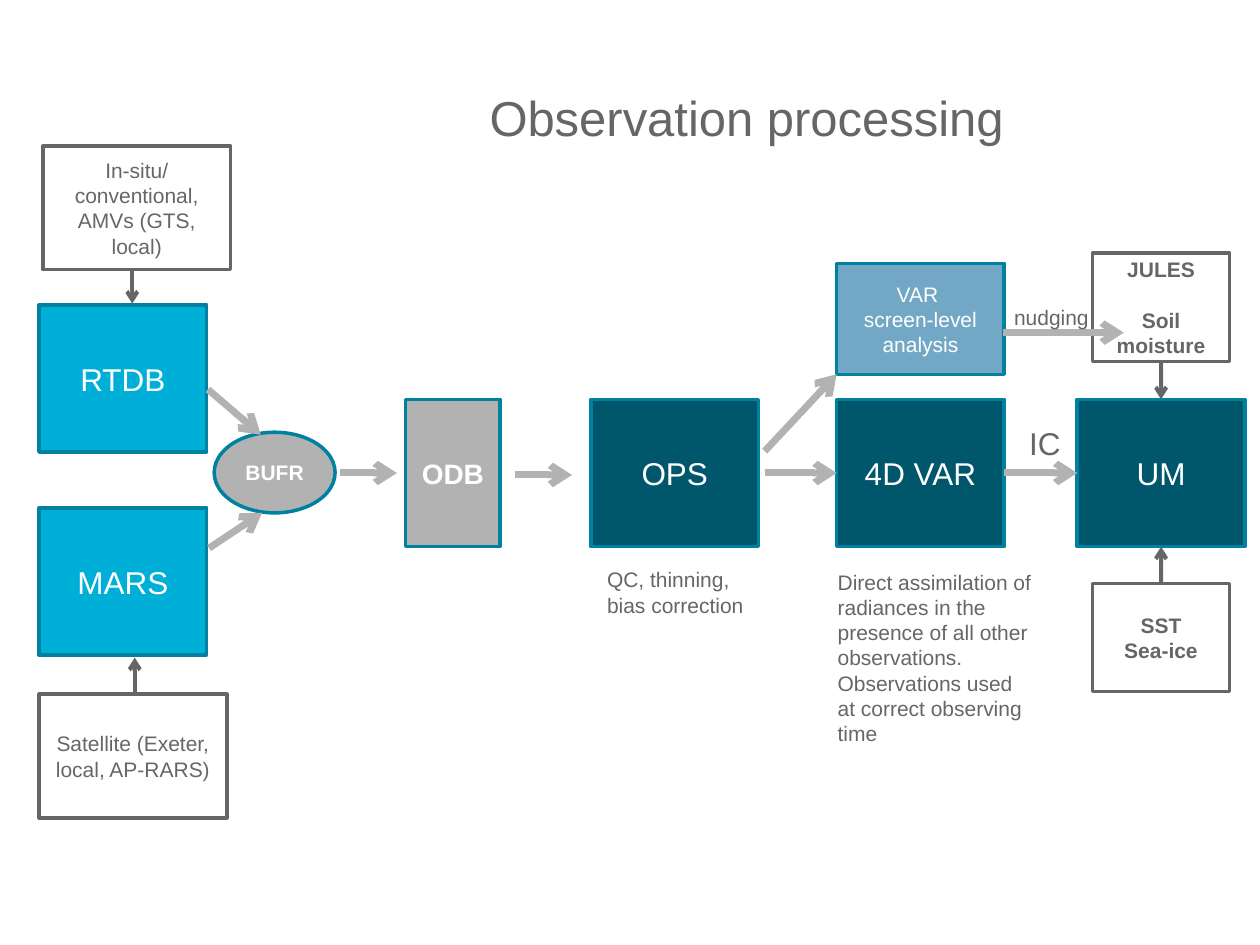
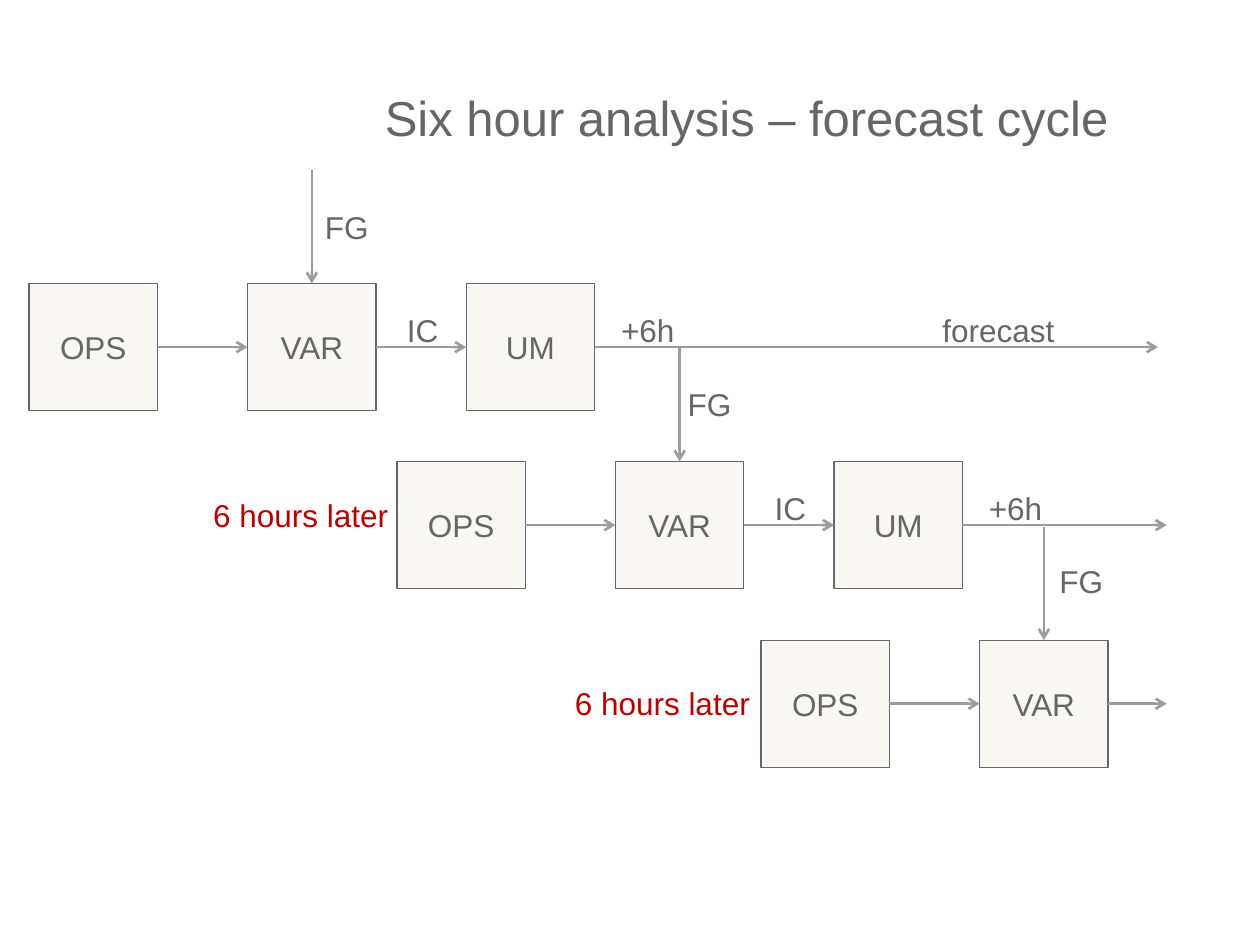
import dataclasses
import typing

import lxml.etree
import pptx
import pptx.dml.color
import pptx.enum.shapes
import pptx.enum.text
import pptx.oxml.ns
import pptx.util

FONT = "Arial"
GREY = "666666"
WHITE = "FFFFFF"
SILVER = "B2B2B2"
CYAN = "00AFD7"
TEAL = "00819F"
PETROL = "00576C"
STEEL = "72A8C5"
IVORY = "F8F7F3"
ARROW_GREY = "9C9C9C"
RED = "C00000"

TOP, LEFT, BOTTOM, RIGHT = range(4)
SHAPES = pptx.enum.shapes.MSO_SHAPE
ALIGN = pptx.enum.text.PP_ALIGN
ANCHOR = pptx.enum.text.MSO_ANCHOR
AUTO_SIZE = pptx.enum.text.MSO_AUTO_SIZE


@dataclasses.dataclass(frozen=True)
class TextStyle:
    size: float
    color: str = GREY
    bold: bool = False
    alignment: typing.Any = ALIGN.CENTER


@dataclasses.dataclass(frozen=True)
class BoxStyle:
    fill: str
    line: str
    line_width: float
    text: TextStyle


class Area(typing.NamedTuple):
    left: float
    top: float
    width: float
    height: float


class Box(typing.NamedTuple):
    paragraphs: tuple[str, ...]
    area: Area
    style: BoxStyle
    shape_type: typing.Any = SHAPES.RECTANGLE
    paragraph_gap: float = 0


class Label(typing.NamedTuple):
    paragraphs: tuple[str, ...]
    area: Area
    style: TextStyle
    wrap: bool = False


class Point(typing.NamedTuple):
    x: float
    y: float


class Joint(typing.NamedTuple):
    shape: typing.Any
    side: int


class ArrowStyle(typing.NamedTuple):
    color: str
    width: float


class CycleRow(typing.NamedTuple):
    left: float
    top: float
    steps: tuple[str, ...]
    forecast_end: float
    first_guess_label: Point


TITLE_TEXT = TextStyle(28)
SMALL_LABEL = TextStyle(12, alignment=ALIGN.LEFT)
LARGE_LABEL = TextStyle(18, alignment=ALIGN.LEFT)
LATER_LABEL = TextStyle(18, RED, alignment=ALIGN.RIGHT)

DATABASE = BoxStyle(CYAN, TEAL, 2, TextStyle(18, WHITE))
MODEL = BoxStyle(PETROL, TEAL, 2, TextStyle(18, WHITE))
SCREEN_LEVEL = BoxStyle(STEEL, TEAL, 2, TextStyle(12, WHITE))
FORMAT = BoxStyle(SILVER, TEAL, 2, TextStyle(12, WHITE, True))
STORE = BoxStyle(SILVER, TEAL, 2, TextStyle(16, WHITE, True))
FEED = BoxStyle(WHITE, GREY, 2, TextStyle(12))
SURFACE = BoxStyle(WHITE, GREY, 2, TextStyle(12, bold=True))
CYCLE_STEP = BoxStyle(IVORY, GREY, 0.75, TextStyle(18))

FLOW_ARROW = ArrowStyle(SILVER, 4)
INPUT_ARROW = ArrowStyle(GREY, 2.25)
CYCLE_ARROW = ArrowStyle(ARROW_GREY, 1.5)


def rgb(color: str) -> pptx.dml.color.RGBColor:
    return pptx.dml.color.RGBColor.from_string(color)


def in_points(values: typing.Iterable[float]) -> list[pptx.util.Length]:
    return [pptx.util.Pt(value) for value in values]


def write_text(text_frame, paragraphs: tuple[str, ...], style: TextStyle, gap: float = 0) -> None:
    for index, text in enumerate(paragraphs):
        paragraph = text_frame.add_paragraph() if index else text_frame.paragraphs[0]
        paragraph.alignment = style.alignment
        if index and gap:
            paragraph.space_before = pptx.util.Pt(gap)
        for line_index, line in enumerate(text.split("\n")):
            if line_index:
                paragraph.add_line_break()
            run = paragraph.add_run()
            run.text = line
            run.font.name = FONT
            run.font.size = pptx.util.Pt(style.size)
            run.font.bold = style.bold
            run.font.color.rgb = rgb(style.color)


def add_titled_slide(presentation, title: str):
    slide = presentation.slides.add_slide(presentation.slide_layouts[5])
    shape = slide.shapes.title
    shape.left, shape.top, shape.width, shape.height = in_points((151.2, 21.6, 550.8, 90))
    shape.text_frame.vertical_anchor = ANCHOR.MIDDLE
    shape.text_frame.auto_size = AUTO_SIZE.NONE
    write_text(shape.text_frame, (title,), TITLE_TEXT)
    return slide


def add_box(slide, box: Box):
    shape = slide.shapes.add_shape(box.shape_type, *in_points(box.area))
    shape.shadow.inherit = False
    shape.fill.solid()
    shape.fill.fore_color.rgb = rgb(box.style.fill)
    shape.line.color.rgb = rgb(box.style.line)
    shape.line.width = pptx.util.Pt(box.style.line_width)
    shape.text_frame.word_wrap = True
    shape.text_frame.vertical_anchor = ANCHOR.MIDDLE
    write_text(shape.text_frame, box.paragraphs, box.style.text, box.paragraph_gap)
    return shape


def add_label(slide, label: Label) -> None:
    text_frame = slide.shapes.add_textbox(*in_points(label.area)).text_frame
    text_frame.word_wrap = label.wrap
    text_frame.auto_size = AUTO_SIZE.SHAPE_TO_FIT_TEXT
    write_text(text_frame, label.paragraphs, label.style)


def locate(end: Point | Joint) -> Point:
    if isinstance(end, Point):
        return end
    shape = end.shape
    across = {LEFT: 0, RIGHT: 1}.get(end.side, 0.5)
    down = {TOP: 0, BOTTOM: 1}.get(end.side, 0.5)
    return Point(shape.left.pt + across * shape.width.pt, shape.top.pt + down * shape.height.pt)


def add_arrow(slide, start: Point | Joint, end: Point | Joint, style: ArrowStyle) -> None:
    connector = slide.shapes.add_connector(
        pptx.enum.shapes.MSO_CONNECTOR.STRAIGHT, *in_points(locate(start) + locate(end))
    )
    if isinstance(start, Joint):
        connector.begin_connect(*start)
    if isinstance(end, Joint):
        connector.end_connect(*end)
    connector.line.color.rgb = rgb(style.color)
    connector.line.width = pptx.util.Pt(style.width)
    qualified = pptx.oxml.ns.qn
    line = connector.line._get_or_add_ln()
    lxml.etree.SubElement(line, qualified("a:tailEnd"), type="arrow")
    lxml.etree.SubElement(connector._element.spPr, qualified("a:effectLst"))


def build_observation_slide(presentation) -> None:
    slide = add_titled_slide(presentation, "Observation processing")
    width, height, model_top = 95.8, 84.2, 228.2
    boxes = {
        "RTDB": Box(("RTDB",), Area(22.3, 174.2, width, height), DATABASE),
        "ODB": Box(("ODB",), Area(231.8, model_top, 54, height), STORE),
        "MARS": Box(("MARS",), Area(22.3, 290.2, width, height), DATABASE),
        "OPS": Box(("OPS",), Area(337.7, model_top, width, height), MODEL),
        "4D VAR": Box(("4D VAR",), Area(478.1, model_top, width, height), MODEL),
        "BUFR": Box(("BUFR",), Area(122.4, 247, 69.1, 46.1), FORMAT, SHAPES.OVAL),
        "UM": Box(("UM",), Area(615.6, model_top, width, height), MODEL),
        "satellite": Box(
            ("Satellite (Exeter, local, AP-RARS)",), Area(22.3, 396.7, 107.3, 70.6), FEED
        ),
        "in-situ": Box(
            ("In-situ/\nconventional,\nAMVs (GTS, local)",), Area(24.5, 83.5, 107.3, 70.6), FEED
        ),
        "sea": Box(("SST", "Sea-ice"), Area(624.2, 333.4, 78.5, 61.9), SURFACE),
        "soil": Box(
            ("JULES", "Soil moisture"), Area(624.2, 144.7, 78.5, 61.9), SURFACE, paragraph_gap=14.4
        ),
        "screen": Box(
            ("VAR \nscreen-level", "analysis"), Area(478.1, 150.5, width, 63.4), SCREEN_LEVEL
        ),
    }
    shapes = {name: add_box(slide, box) for name, box in boxes.items()}

    flows = [
        (Point(294.5, 271.4), Point(326.9, 271.4)),
        (Point(437, 270.3), Joint(shapes["4D VAR"], LEFT)),
        (Joint(shapes["4D VAR"], RIGHT), Joint(shapes["UM"], LEFT)),
        (Point(118.8, 222.5), Point(149, 248.4)),
        (Point(119.5, 313.2), Point(149.8, 293)),
        (Point(194.4, 270.3), Point(226.8, 270.3)),
        (Point(573.1, 190.1), Point(642.2, 190.1)),
        (Point(437, 257.8), Point(478.1, 213.9)),
    ]
    inputs = [
        (Point(77, 396.7), Point(77, 375.8)),
        (Point(75.6, 154.8), Point(75.6, 173.5)),
        (Joint(shapes["soil"], BOTTOM), Joint(shapes["UM"], TOP)),
        (Joint(shapes["sea"], TOP), Joint(shapes["UM"], BOTTOM)),
    ]
    for arrows, style in ((flows, FLOW_ARROW), (inputs, INPUT_ARROW)):
        for start, end in arrows:
            add_arrow(slide, start, end, style)

    assimilation = (
        "Direct assimilation of",
        "radiances in the presence of all other observations.\n"
        "Observations used at correct observing time",
    )
    for label in (
        Label(("QC, thinning,\nbias correction",), Area(339.8, 320.4, 92.9, 36), SMALL_LABEL),
        Label(assimilation, Area(471.6, 321.8, 126.7, 108.7), SMALL_LABEL, True),
        Label(("IC",), Area(581, 239, 32.4, 28.8), LARGE_LABEL),
        Label(("nudging",), Area(572.4, 170.6, 57.6, 21.6), SMALL_LABEL),
    ):
        add_label(slide, label)


def add_cycle_row(slide, row: CycleRow) -> None:
    step_pitch, first_guess_length = 124.9, 64.8
    steps = [
        add_box(
            slide, Box((name,), Area(row.left + index * step_pitch, row.top, 73.4, 72.7), CYCLE_STEP)
        )
        for index, name in enumerate(row.steps)
    ]
    for previous, following in zip(steps, steps[1:]):
        add_arrow(slide, Joint(previous, RIGHT), Joint(following, LEFT), CYCLE_ARROW)
    forecast_start = Joint(steps[-1], RIGHT)
    forecast_end = Point(row.forecast_end, locate(forecast_start).y)
    add_arrow(slide, forecast_start, forecast_end, CYCLE_ARROW)

    analysis_top = Joint(steps[1], TOP)
    x, y = locate(analysis_top)
    add_arrow(slide, Point(x, y - first_guess_length), analysis_top, CYCLE_ARROW)
    add_label(slide, Label(("FG",), Area(*row.first_guess_label, 39.6, 28.8), LARGE_LABEL))
    if "UM" in row.steps:
        for text, offset, width in (("IC", 208.8, 32.4), ("+6h", 331.2, 45.4)):
            area = Area(row.left + offset, row.top + 12, width, 28.8)
            add_label(slide, Label((text,), area, LARGE_LABEL))


def build_cycle_slide(presentation) -> None:
    slide = add_titled_slide(presentation, "Six hour analysis – forecast cycle")
    full_cycle = ("OPS", "VAR", "UM")
    for row in (
        CycleRow(16.6, 162, full_cycle, 661.7, Point(178.6, 115.2)),
        CycleRow(226.8, 263.7, full_cycle, 666.7, Point(385.9, 216.7)),
        CycleRow(434.9, 365.8, full_cycle[:2], 666.7, Point(598.3, 317.5)),
    ):
        add_cycle_row(slide, row)
    add_label(slide, Label(("forecast",), Area(531.4, 174.2, 79.2, 28.8), LARGE_LABEL))
    for left, top in ((110.9, 280.1), (317.5, 387.4)):
        add_label(slide, Label(("6 hours later",), Area(left, top, 118.1, 30.2), LATER_LABEL, True))


def main() -> None:
    presentation = pptx.Presentation()
    presentation.slide_width = pptx.util.Pt(720)
    presentation.slide_height = pptx.util.Pt(540)
    build_observation_slide(presentation)
    build_cycle_slide(presentation)
    presentation.save("out.pptx")


if __name__ == "__main__":
    main()
